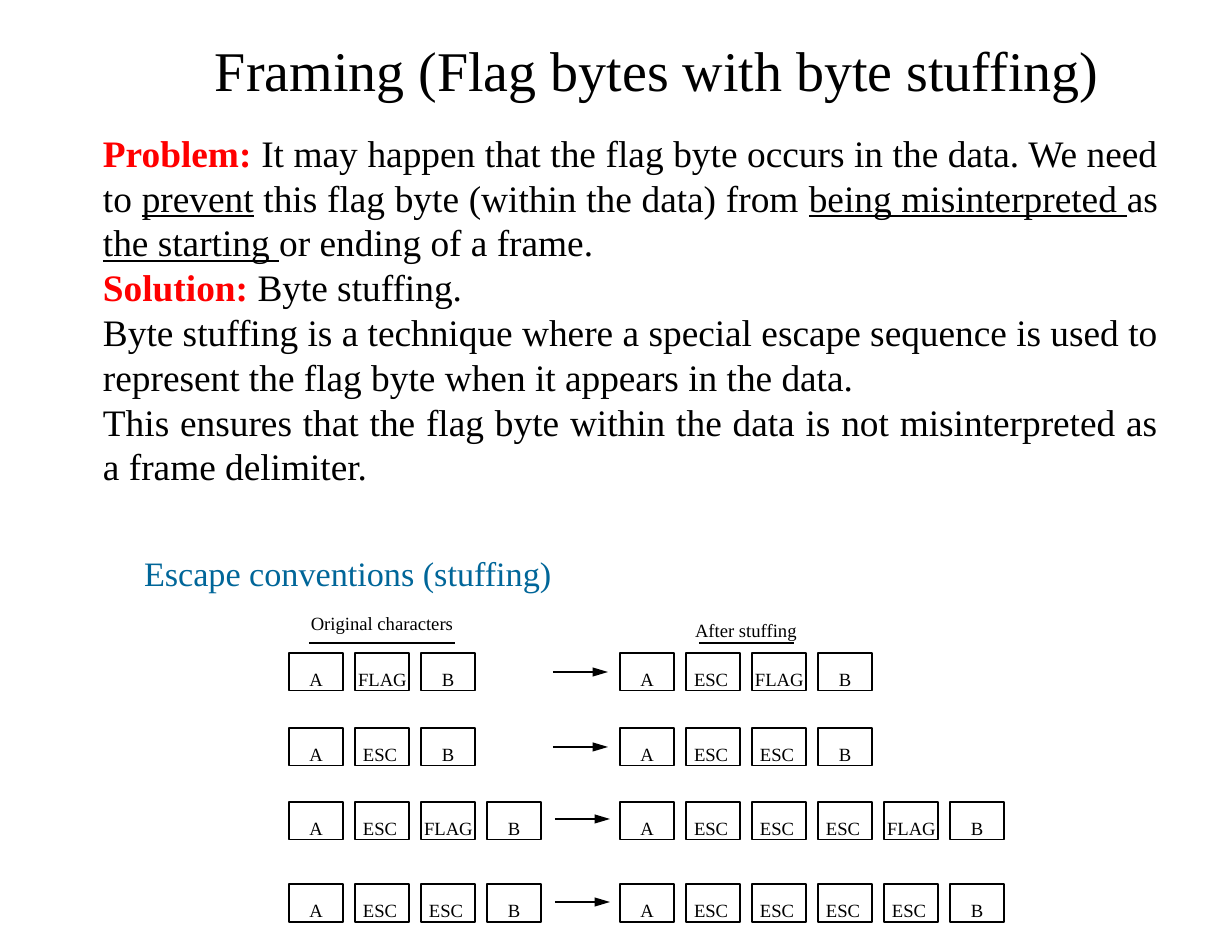
import pptx
import pptx.util
import pptx.dml.color
import pptx.enum.shapes
import pptx.enum.text
from lxml import etree

COLORS = {"text": "000000", "accent": "FF0000", "heading": "006699"}
FONT = "Times New Roman"
PX = 914400 / 112
ALIGN = pptx.enum.text.PP_ALIGN


def px(n):
    return pptx.util.Emu(round(n * PX))


def add_run(p, text, size, color="text", bold=False, underline=False):
    r = p.add_run()
    r.text = text
    r.font.name = FONT
    r.font.size = pptx.util.Pt(size)
    r.font.bold = bold
    r.font.underline = underline
    r.font.color.rgb = pptx.dml.color.RGBColor.from_string(COLORS[color])


prs = pptx.Presentation()
prs.slide_width, prs.slide_height = px(1232), px(952)
s = prs.slides.add_slide(prs.slide_layouts[6])

# Text boxes: place, top inset, paragraphs of (alignment, indent, space before, runs)
text_boxes = [
    ((214, 34, 908, 69), 1, [
        (ALIGN.LEFT, 1, 0, [("Framing (Flag bytes with byte stuffing)", 36)]),
    ]),
    ((103, 129, 1055, 363), 1, [
        (ALIGN.JUSTIFY, 0, 0, [
            ("Problem: ", 24, "accent", True),
            ("It may happen that the flag byte occurs in the data. We need to ", 24),
            ("prevent", 24, "text", False, True),
            (" this flag byte (within the data) from ", 24),
            ("being misinterpreted ", 24, "text", False, True),
            ("as ", 24),
            ("the starting ", 24, "text", False, True),
            ("or ending of a frame.", 24),
        ]),
        (ALIGN.JUSTIFY, 0, 0, [
            ("Solution: ", 24, "accent", True),
            ("Byte stuffing.", 24),
        ]),
        (ALIGN.JUSTIFY, 0, 0, [
            ("Byte stuffing is a technique where a special escape sequence is used "
             "to represent the flag byte when it appears in the data.", 24),
        ]),
        (ALIGN.JUSTIFY, 0, 0, [
            ("This ensures that the flag byte within the data is not misinterpreted "
             "as a frame delimiter.", 24),
        ]),
    ]),
    ((143, 550, 452, 85), 2, [
        (ALIGN.LEFT, 1, 0, [("Escape conventions (stuffing)", 22, "heading")]),
        (ALIGN.CENTER, 26, 12.2, [("Original characters", 12)]),
    ]),
    ((694, 617, 104, 25), 2, [
        (ALIGN.LEFT, 1, 0, [("After stuffing", 12)]),
    ]),
]
for place, top_inset, paragraphs in text_boxes:
    tf = s.shapes.add_textbox(*map(px, place)).text_frame
    tf.word_wrap = True
    tf.margin_left = tf.margin_right = tf.margin_bottom = 0
    tf.margin_top = px(top_inset)
    for i, (align, indent, before, runs) in enumerate(paragraphs):
        p = tf.add_paragraph() if i else tf.paragraphs[0]
        p.alignment = align
        p._p.get_or_add_pPr().set("marL", str(px(indent)))
        if before:
            p.space_before = pptx.util.Pt(before)
        for run in runs:
            add_run(p, *run)

# Character boxes: top, arrow left, arrow y, characters before and after stuffing
BOX_W, BOX_H, PITCH = 54, 38, 66
INDENTS = {"ESC": 8, "FLAG": 3}
rows = [
    (653, 553, 672, "A FLAG B", "A ESC FLAG B"),
    (728, 553, 747, "A ESC B", "A ESC ESC B"),
    (802, 555, 819, "A ESC FLAG B", "A ESC ESC ESC FLAG B"),
    (884, 555, 902, "A ESC ESC B", "A ESC ESC ESC ESC B"),
]
lines = [(309, 455, 643, 0.75, False), (699, 794, 643, 0.75, False)]
for top, arrow_left, arrow_y, original, stuffed in rows:
    lines.append((arrow_left, arrow_left + 55, arrow_y, 1.1, True))
    for left, labels in ((289, original), (620, stuffed)):
        for i, label in enumerate(labels.split()):
            sp = s.shapes.add_shape(pptx.enum.shapes.MSO_SHAPE.RECTANGLE,
                                    px(left + i * PITCH), px(top), px(BOX_W), px(BOX_H))
            sp.shadow.inherit = False
            sp.fill.background()
            sp.line.color.rgb = pptx.dml.color.RGBColor.from_string(COLORS["text"])
            sp.line.width = pptx.util.Pt(0.75)
            tf = sp.text_frame
            tf.word_wrap = True
            tf.vertical_anchor = pptx.enum.text.MSO_ANCHOR.TOP
            tf.margin_left = px(INDENTS.get(label, 0))
            tf.margin_right = tf.margin_bottom = 0
            tf.margin_top = px(15)
            p = tf.paragraphs[0]
            p.alignment = ALIGN.LEFT if label in INDENTS else ALIGN.CENTER
            add_run(p, label, 12)

# Heading rules and row arrows
for x1, x2, y, width, arrow in lines:
    c = s.shapes.add_connector(pptx.enum.shapes.MSO_CONNECTOR.STRAIGHT,
                               px(x1), px(y), px(x2), px(y))
    c.line.color.rgb = pptx.dml.color.RGBColor.from_string(COLORS["text"])
    c.line.width = pptx.util.Pt(width)
    if arrow:
        etree.SubElement(c.line._get_or_add_ln(), pptx.oxml.ns.qn("a:tailEnd"),
                         type="triangle", w="med", len="lg")
    etree.SubElement(c._element.spPr, pptx.oxml.ns.qn("a:effectLst"))

prs.save("out.pptx")
